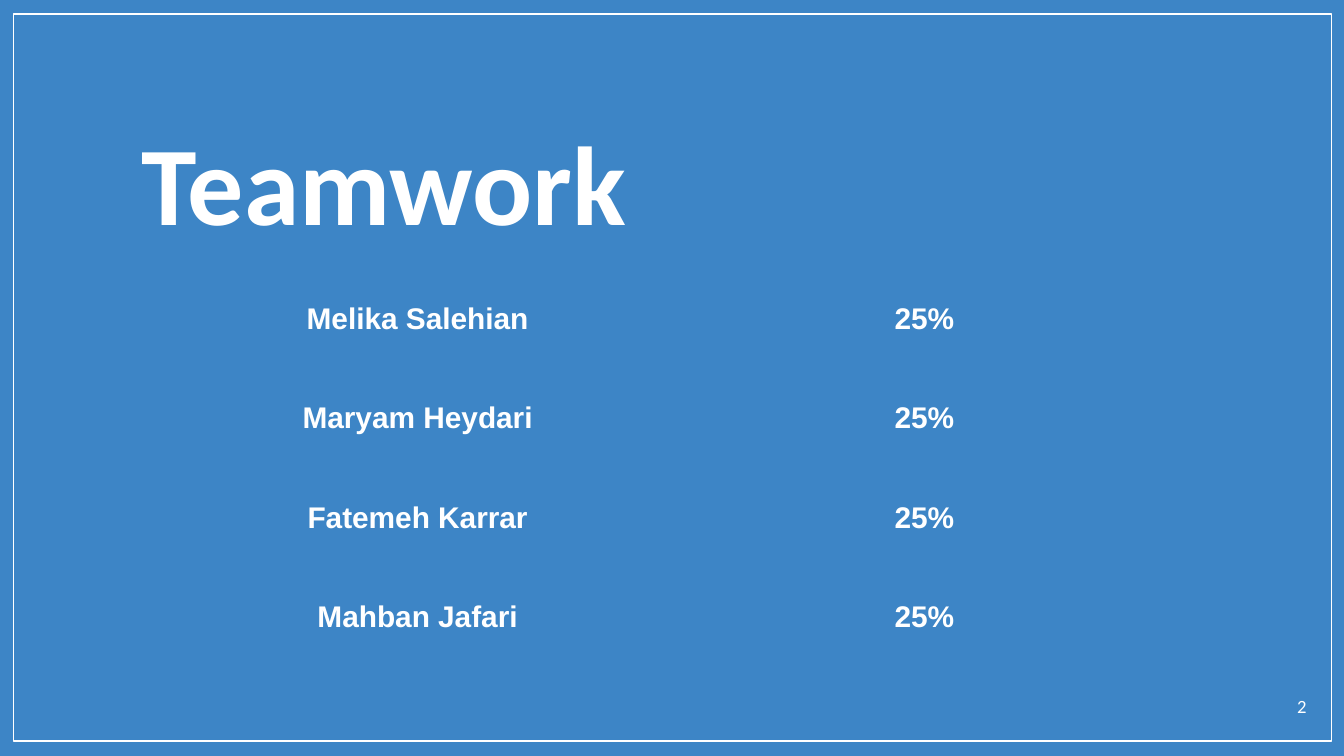
from lxml.etree import SubElement as Sub
from pptx import Presentation
from pptx.dml.color import RGBColor as Rgb
from pptx.enum.shapes import MSO_SHAPE as Kind
from pptx.enum.text import MSO_ANCHOR as Anchor, PP_ALIGN as Align
from pptx.oxml.ns import qn
from pptx.util import Pt

HUE = {"back": "3D85C6", "ink": "FFFFFF"}
TITLE = "Teamwork"
PAGE = "2"
TEAM = [
    ("Melika Salehian", "25%"),
    ("Maryam Heydari", "25%"),
    ("Fatemeh Karrar", "25%"),
    ("Mahban Jafari", "25%"),
]
WIDE, HIGH = 720, 405
COL, ROW, PAD = 271.5, 53.4, 7.2


def write(frame, text, size=16, font="Arial", bold=False,
          align=Align.LEFT, space=1.0):
    para = frame.paragraphs[0]
    para.alignment = align
    para.line_spacing = space
    run = para.add_run()
    run.text = text
    run.font.size = Pt(size)
    run.font.name = font
    run.font.bold = bold
    run.font.color.rgb = Rgb.from_string(HUE["ink"])


def box(slide, spot, text, anchor=Anchor.TOP, **style):
    frame = slide.shapes.add_textbox(*map(Pt, spot)).text_frame
    frame.word_wrap = True
    frame.vertical_anchor = anchor
    frame.margin_left = frame.margin_right = Pt(PAD)
    frame.margin_top = frame.margin_bottom = Pt(PAD)
    write(frame, text, **style)


def clear(cell):
    props = cell._tc.get_or_add_tcPr()
    for side in ("lnL", "lnR", "lnT", "lnB"):
        Sub(Sub(props, qn("a:" + side)), qn("a:noFill"))
    cell.fill.background()


def main():
    deck = Presentation()
    deck.slide_width, deck.slide_height = Pt(WIDE), Pt(HIGH)
    slide = deck.slides.add_slide(deck.slide_layouts[6])
    back = slide.background.fill
    back.solid()
    back.fore_color.rgb = Rgb.from_string(HUE["back"])

    edge = slide.shapes.add_shape(
        Kind.RECTANGLE, *map(Pt, (7.2, 7.6, 706, 389.5)))
    edge.shadow.inherit = False
    edge.fill.background()
    edge.line.color.rgb = Rgb.from_string(HUE["ink"])
    edge.line.width = Pt(0.75)

    box(slide, (69, 51, 612, 91.5), TITLE, anchor=Anchor.MIDDLE,
        size=60, font="Calibri", bold=True)
    box(slide, (671, 366, 36, 23), PAGE,
        size=10, font="Calibri", align=Align.RIGHT)

    count = len(TEAM)
    grid = slide.shapes.add_table(
        count, 2, Pt(88), Pt(152), Pt(2 * COL), Pt(count * ROW)).table
    grid.first_row = grid.horz_banding = False
    for col in grid.columns:
        col.width = Pt(COL)
    for r, pair in enumerate(TEAM):
        grid.rows[r].height = Pt(ROW)
        for c, text in enumerate(pair):
            cell = grid.cell(r, c)
            cell.margin_left = cell.margin_right = Pt(PAD)
            cell.margin_top = cell.margin_bottom = Pt(PAD)
            clear(cell)
            write(cell.text_frame, text, bold=True,
                  align=Align.CENTER, space=1.15)

    deck.save("out.pptx")


if __name__ == "__main__":
    main()
